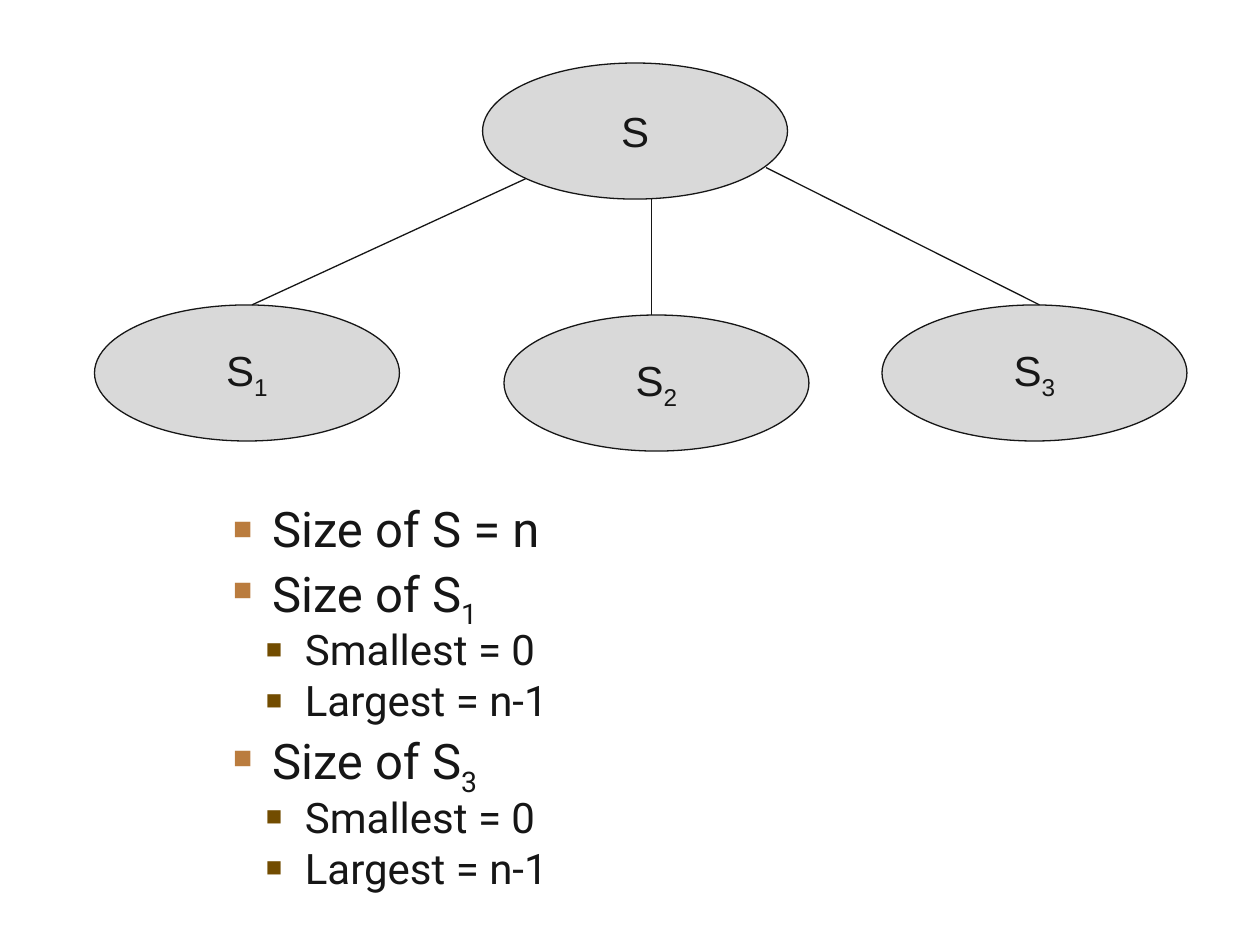
from pptx import Presentation, util as u
from pptx.dml.color import RGBColor
from pptx.enum import shapes, text
from pptx.oxml.ns import qn
from lxml import etree


def color(hex_code):
    return RGBColor.from_string(hex_code)


class TreeSlide:
    INK, NODE_FILL = "161616", "D9D9D9"
    NODE_FONT, LIST_FONT = "Arial", "Roboto"
    NODE_W, NODE_H = u.Inches(2.42), u.Inches(1.08)
    HANG = u.Inches(0.31)
    # per list level: text size, space before, left margin, bullet color
    LEVELS = [(28, 7, 0.31, "BA7C3E"), (24, 6, 0.57, "724C00")]

    def __init__(self, prs):
        self.slide = prs.slides.add_slide(prs.slide_layouts[1])
        title = self.slide.shapes.title.element
        title.getparent().remove(title)

    def runs(self, paragraph, words, subscript, font, size):
        for part in filter(None, (words, subscript)):
            run = paragraph.add_run()
            run.text = part
            run.font.name, run.font.size = font, u.Pt(size)
            run.font.color.rgb = color(self.INK)
            if part is subscript:
                run.font._element.set("baseline", "-25000")

    def outline(self, line):
        line.color.rgb = color(self.INK)
        line.width = u.Pt(0.75)

    def node(self, left, top, subscript):
        node = self.slide.shapes.add_shape(
            shapes.MSO_SHAPE.OVAL, u.Inches(left), u.Inches(top), self.NODE_W, self.NODE_H)
        node.shadow.inherit = False
        node.fill.solid()
        node.fill.fore_color.rgb = color(self.NODE_FILL)
        self.outline(node.line)
        frame = node.text_frame
        frame.word_wrap = False
        frame.vertical_anchor = text.MSO_ANCHOR.MIDDLE
        label = frame.paragraphs[0]
        label.alignment = text.PP_ALIGN.CENTER
        self.runs(label, "S", subscript, self.NODE_FONT, 24)

    def branch(self, *ends):
        branch = self.slide.shapes.add_connector(
            shapes.MSO_CONNECTOR.STRAIGHT, *map(u.Inches, ends))
        self.outline(branch.line)
        etree.SubElement(branch._element.spPr, qn("a:effectLst"))

    def bullet(self, paragraph, margin, bullet_color):
        props = paragraph._p.get_or_add_pPr()
        props.set("marL", str(u.Inches(margin)))
        props.set("indent", str(-self.HANG))
        fill = etree.SubElement(props, qn("a:buClr"))
        etree.SubElement(fill, qn("a:srgbClr"), val=bullet_color)
        etree.SubElement(props, qn("a:buSzPct"), val="65000")
        etree.SubElement(props, qn("a:buFont"), typeface=self.NODE_FONT)
        etree.SubElement(props, qn("a:buChar"), char="■")

    def size_list(self, left, top, width, height, items):
        body = self.slide.placeholders[1]
        body.left, body.top, body.width, body.height = map(
            u.Inches, (left, top, width, height))
        frame = body.text_frame
        frame.auto_size = text.MSO_AUTO_SIZE.NONE
        frame.vertical_anchor = text.MSO_ANCHOR.TOP
        for i, (level, words, subscript) in enumerate(items):
            item = frame.add_paragraph() if i else frame.paragraphs[0]
            size, before, margin, bullet_color = self.LEVELS[level]
            item.level = level
            item.line_spacing = 0.8
            item.space_before = u.Pt(before)
            self.bullet(item, margin, bullet_color)
            self.runs(item, words, subscript, self.LIST_FONT, size)


def main():
    prs = Presentation()
    prs.slide_width, prs.slide_height = u.Inches(10), u.Inches(7.5)
    tree = TreeSlide(prs)

    # Sizes of the subsets
    extremes = [(1, "Smallest = 0", ""), (1, "Largest = n-1", "")]
    tree.size_list(1.75, 4, 7.08, 3.25, [
        (0, "Size of S = n", ""),
        (0, "Size of S", "1"), *extremes,
        (0, "Size of S", "3"), *extremes,
    ])

    # Root set and its three subsets
    for left, top, subscript in [(3.83, 0.5, ""), (0.75, 2.42, "1"),
                                 (4, 2.5, "2"), (7, 2.42, "3")]:
        tree.node(left, top, subscript)

    # Branches
    for ends in [(2, 2.42, 4.17, 1.42), (5.17, 1.58, 5.17, 2.5),
                 (6.08, 1.33, 8.25, 2.42)]:
        tree.branch(*ends)

    prs.save("out.pptx")


if __name__ == "__main__":
    main()
